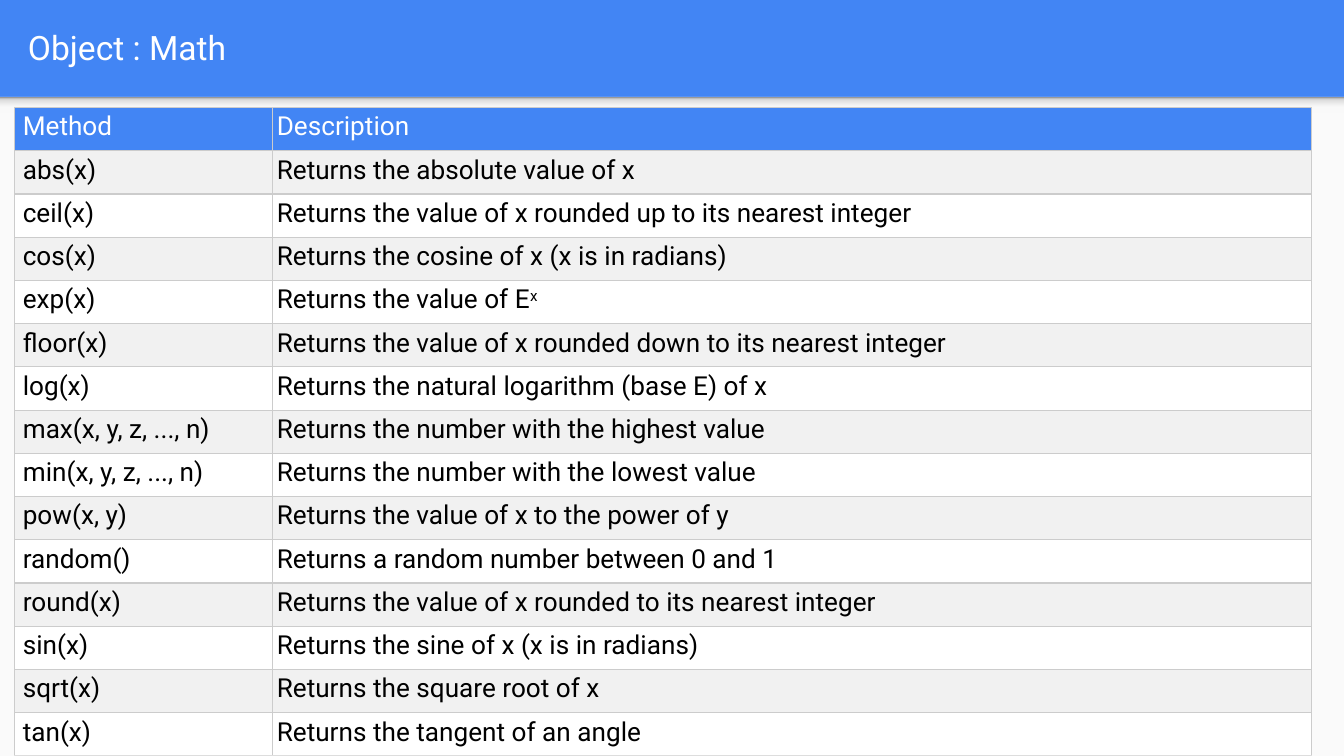
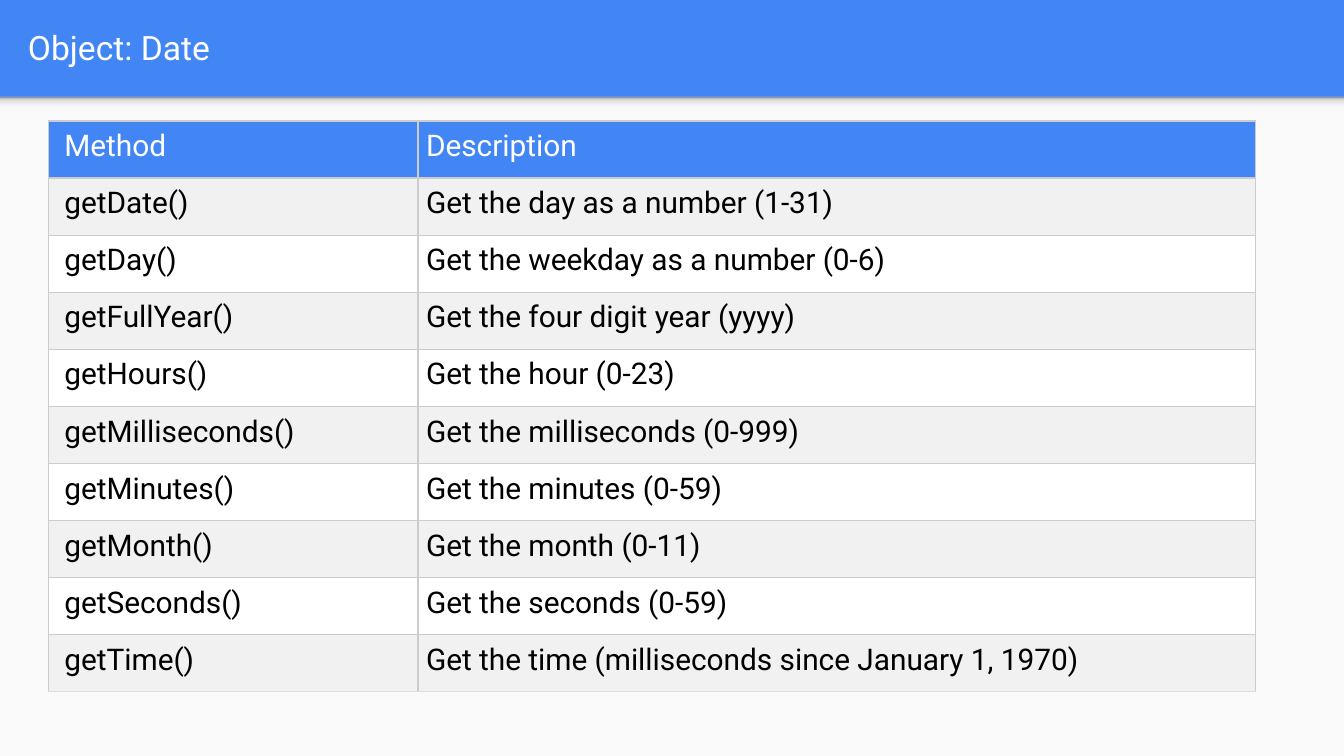
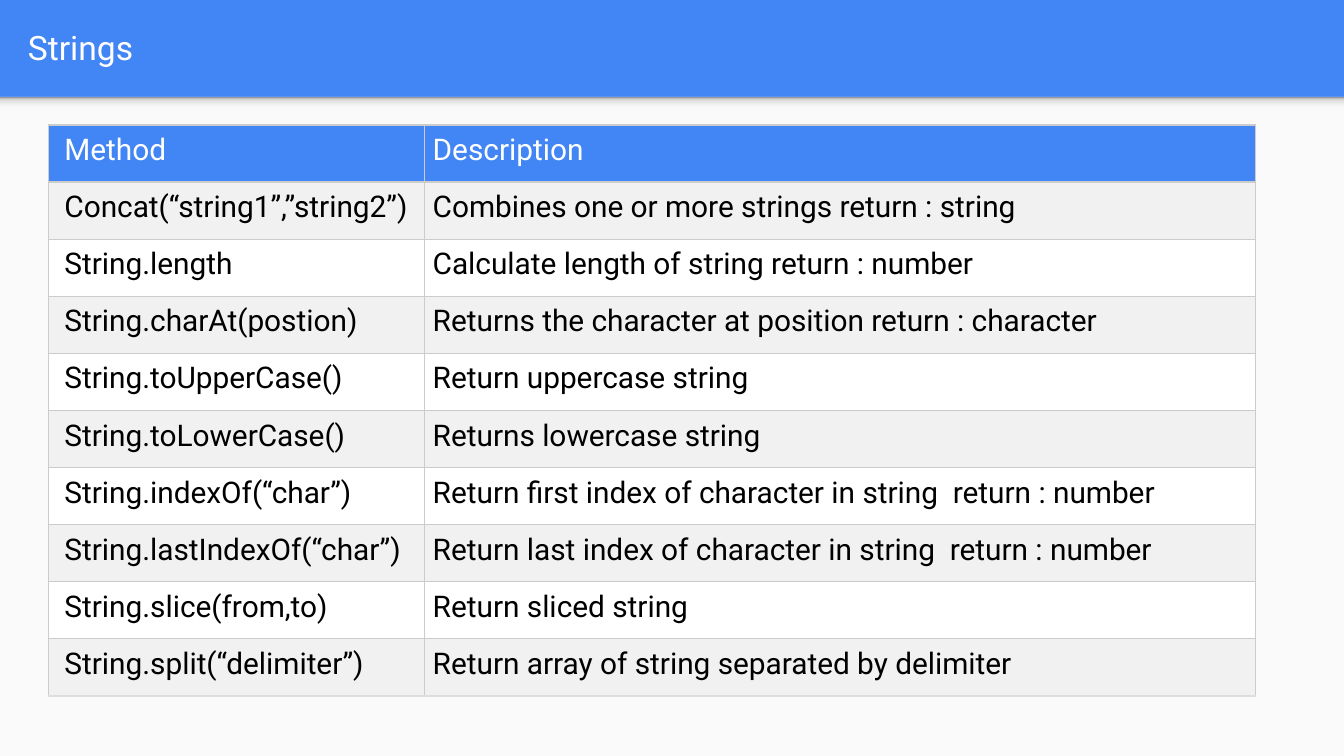
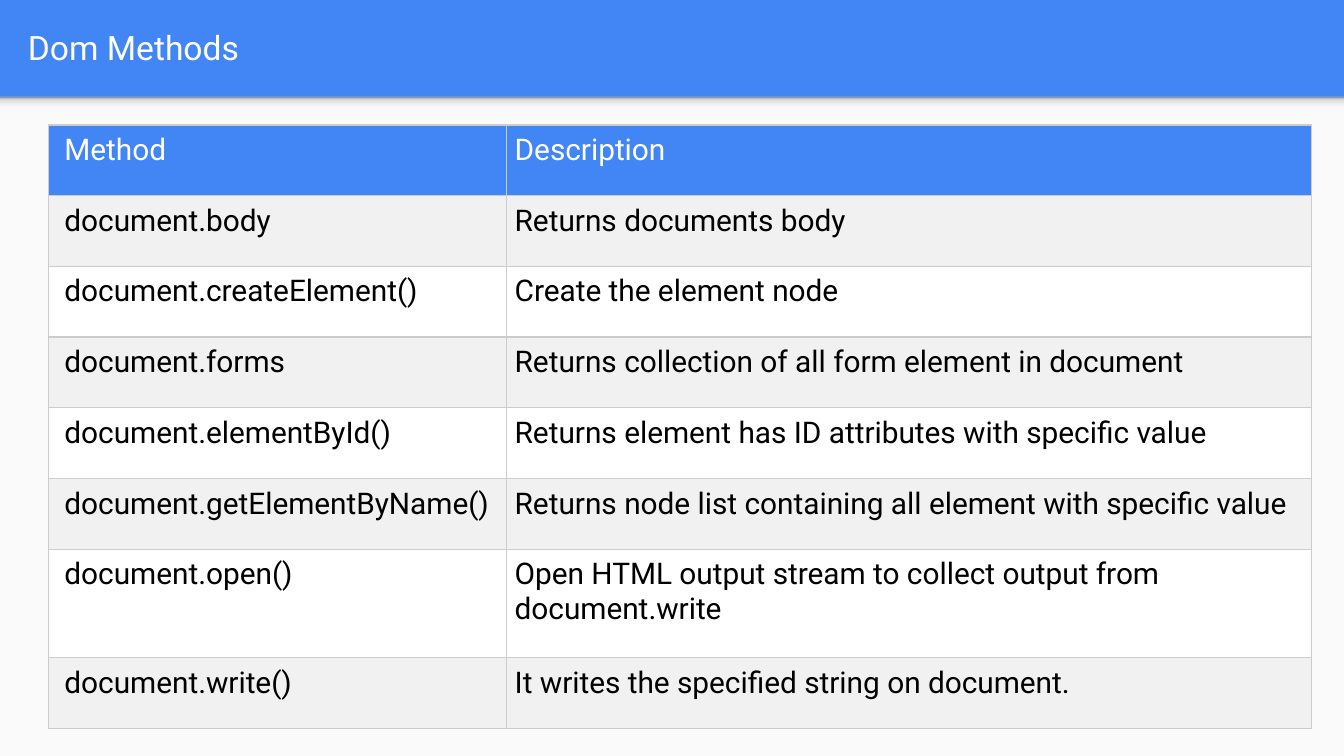
"""Builds four reference slides listing methods of JavaScript objects."""
from dataclasses import dataclass

from lxml import etree
from pptx import Presentation
from pptx import util as u
from pptx.dml.color import RGBColor
from pptx.enum import shapes, text
from pptx.oxml import ns


@dataclass(frozen=True)
class Theme:
    font: str = "Roboto"
    title_size: int = 18
    accent: str = "4285F4"
    page: str = "FAFAFA"
    light: str = "FFFFFF"
    band: str = "F1F1F1"
    ink: str = "000000"
    grid: str = "CCCCCC"
    closing: str = "DDDDDD"
    grid_width: float = 0.75
    shadow: tuple = ((0, "F9F9F9"), (36, "F9F9F9"), (80, "DEDEDE"), (100, "999999"))


@dataclass(frozen=True)
class Layout:
    left: float
    top: float
    columns: tuple[float, float]
    height: float
    size: int = 16
    inset: float = 0.06
    closing: str = Theme.closing
    extra: tuple[int, float] = (0, 0)


@dataclass(frozen=True)
class Reference:
    title: str
    layout: Layout
    methods: tuple[tuple[str, str], ...]


THEME = Theme()
WIDTH = 10
HEIGHT = WIDTH * 9 / 16
HEADER = 0.72

REFERENCES = (
    Reference("Object : Math", Layout(0.11, 0.8, (1.92, 7.73), 4.83, 14, 0.03), (
        ("abs(x)", "Returns the absolute value of x"),
        ("ceil(x)", "Returns the value of x rounded up to its nearest integer"),
        ("cos(x)", "Returns the cosine of x (x is in radians)"),
        ("exp(x)", "Returns the value of E^x"),
        ("floor(x)", "Returns the value of x rounded down to its nearest integer"),
        ("log(x)", "Returns the natural logarithm (base E) of x"),
        ("max(x, y, z, ..., n)", "Returns the number with the highest value"),
        ("min(x, y, z, ..., n)", "Returns the number with the lowest value"),
        ("pow(x, y)", "Returns the value of x to the power of y"),
        ("random()", "Returns a random number between 0 and 1"),
        ("round(x)", "Returns the value of x rounded to its nearest integer"),
        ("sin(x)", "Returns the sine of x (x is in radians)"),
        ("sqrt(x)", "Returns the square root of x"),
        ("tan(x)", "Returns the tangent of an angle"),
    )),
    Reference("Object: Date", Layout(0.36, 0.9, (2.75, 6.23), 4.25), (
        ("getDate()", "Get the day as a number (1-31)"),
        ("getDay()", "Get the weekday as a number (0-6)"),
        ("getFullYear()", "Get the four digit year (yyyy)"),
        ("getHours()", "Get the hour (0-23)"),
        ("getMilliseconds()", "Get the milliseconds (0-999)"),
        ("getMinutes()", "Get the minutes (0-59)"),
        ("getMonth()", "Get the month (0-11)"),
        ("getSeconds()", "Get the seconds (0-59)"),
        ("getTime()", "Get the time (milliseconds since January 1, 1970)"),
    )),
    Reference("Strings", Layout(0.36, 0.93, (2.8, 6.18), 4.25), (
        ("Concat(“string1”,”string2”)", "Combines one or more strings return : string"),
        ("String.length", "Calculate length of string return : number"),
        ("String.charAt(postion)", "Returns the character at position return : character"),
        ("String.toUpperCase()", "Return uppercase string"),
        ("String.toLowerCase()", "Returns lowercase string"),
        ("String.indexOf(“char”)", "Return first index of character in string  return : number"),
        ("String.lastIndexOf(“char”)", "Return last index of character in string  return : number"),
        ("String.slice(from,to)", "Return sliced string"),
        ("String.split(“delimiter”)", "Return array of string separated by delimiter"),
    )),
    Reference("Dom Methods", Layout(0.36, 0.93, (3.41, 5.99), 4.49,
                                    closing=THEME.grid, extra=(6, 0.28)), (
        ("document.body", "Returns documents body"),
        ("document.createElement()", "Create the element node"),
        ("document.forms", "Returns collection of all form element in document"),
        ("document.elementById()", "Returns element has ID attributes with specific value"),
        ("document.getElementByName()",
         "Returns node list containing all element with specific value"),
        ("document.open()", "Open HTML output stream to collect output from document.write"),
        ("document.write()", "It writes the specified string on document."),
    )),
)


def paint(fill, colour: str) -> None:
    fill.solid()
    fill.fore_color.rgb = RGBColor.from_string(colour)


def write(paragraph, wording: str, size: int, colour: str) -> None:
    base, _, exponent = wording.partition("^")
    paragraph.add_run().text = base
    if exponent:
        raised = paragraph.add_run()
        raised.text = exponent
        raised._r.get_or_add_rPr().set("baseline", "30000")
    paragraph.font.name = THEME.font
    paragraph.font.size = u.Pt(size)
    paragraph.font.color.rgb = RGBColor.from_string(colour)


def add_colour(parent, colour: str) -> None:
    etree.SubElement(parent, ns.qn("a:srgbClr"), val=colour)


def add_band(slide, height: float):
    band = slide.shapes.add_shape(
        shapes.MSO_SHAPE.RECTANGLE, 0, u.Inches(HEADER), u.Inches(WIDTH), u.Inches(height))
    band.shadow.inherit = False
    band.line.fill.background()
    return band


def draw_frame(slide, title: str) -> None:
    paint(slide.background.fill, THEME.accent)
    paint(add_band(slide, HEIGHT - HEADER).fill, THEME.page)

    header_shadow = add_band(slide, 0.12)
    header_shadow.fill.gradient()
    header_shadow.fill.gradient_angle = 90
    stops = header_shadow._element.spPr.find(".//" + ns.qn("a:gsLst"))
    for default in list(stops):
        stops.remove(default)
    for percent, colour in THEME.shadow:
        add_colour(etree.SubElement(stops, ns.qn("a:gs"), pos=str(percent * 1000)), colour)

    heading = slide.shapes.add_textbox(
        u.Inches(0.11), u.Inches(0.02), u.Inches(9.65), u.Inches(0.66)).text_frame
    heading.word_wrap = True
    heading.vertical_anchor = text.MSO_ANCHOR.MIDDLE
    heading.margin_left = heading.margin_right = u.Inches(0.1)
    heading.margin_top = heading.margin_bottom = u.Inches(0.1)
    write(heading.paragraphs[0], title, THEME.title_size, THEME.light)


def add_borders(cell, bottom: str) -> None:
    properties = cell._tc.get_or_add_tcPr()
    for side in "LRTB":
        edge = etree.SubElement(properties, ns.qn(f"a:ln{side}"), w=str(u.Pt(THEME.grid_width)))
        add_colour(etree.SubElement(edge, ns.qn("a:solidFill")),
                   bottom if side == "B" else THEME.grid)


def draw_methods(slide, layout: Layout, methods: tuple[tuple[str, str], ...]) -> None:
    rows = (("Method", "Description"), *methods)
    methods_table = slide.shapes.add_table(
        len(rows), 2, u.Inches(layout.left), u.Inches(layout.top),
        u.Inches(sum(layout.columns)), u.Inches(layout.height)).table
    methods_table.first_row = methods_table.horz_banding = False
    for column, width in zip(methods_table.columns, layout.columns):
        column.width = u.Inches(width)

    tall_row, extra = layout.extra
    row_height = (layout.height - extra) / len(rows)
    for r, row in enumerate(rows):
        methods_table.rows[r].height = u.Inches(row_height + (extra if r == tall_row else 0))
        if r == 0:
            fill, ink = THEME.accent, THEME.light
        else:
            fill, ink = THEME.band if r % 2 else THEME.light, THEME.ink
        bottom = layout.closing if r == len(rows) - 1 else THEME.grid
        for c, wording in enumerate(row):
            cell = methods_table.cell(r, c)
            cell.margin_left = u.Inches(layout.inset * (2 - c))
            cell.margin_right = cell.margin_top = cell.margin_bottom = u.Inches(layout.inset)
            add_borders(cell, bottom)
            paint(cell.fill, fill)
            write(cell.text_frame.paragraphs[0], wording, layout.size, ink)


def main() -> None:
    deck = Presentation()
    deck.slide_width, deck.slide_height = u.Inches(WIDTH), u.Inches(HEIGHT)
    for reference in REFERENCES:
        slide = deck.slides.add_slide(deck.slide_layouts[6])
        draw_frame(slide, reference.title)
        draw_methods(slide, reference.layout, reference.methods)
    deck.save("out.pptx")


main()
